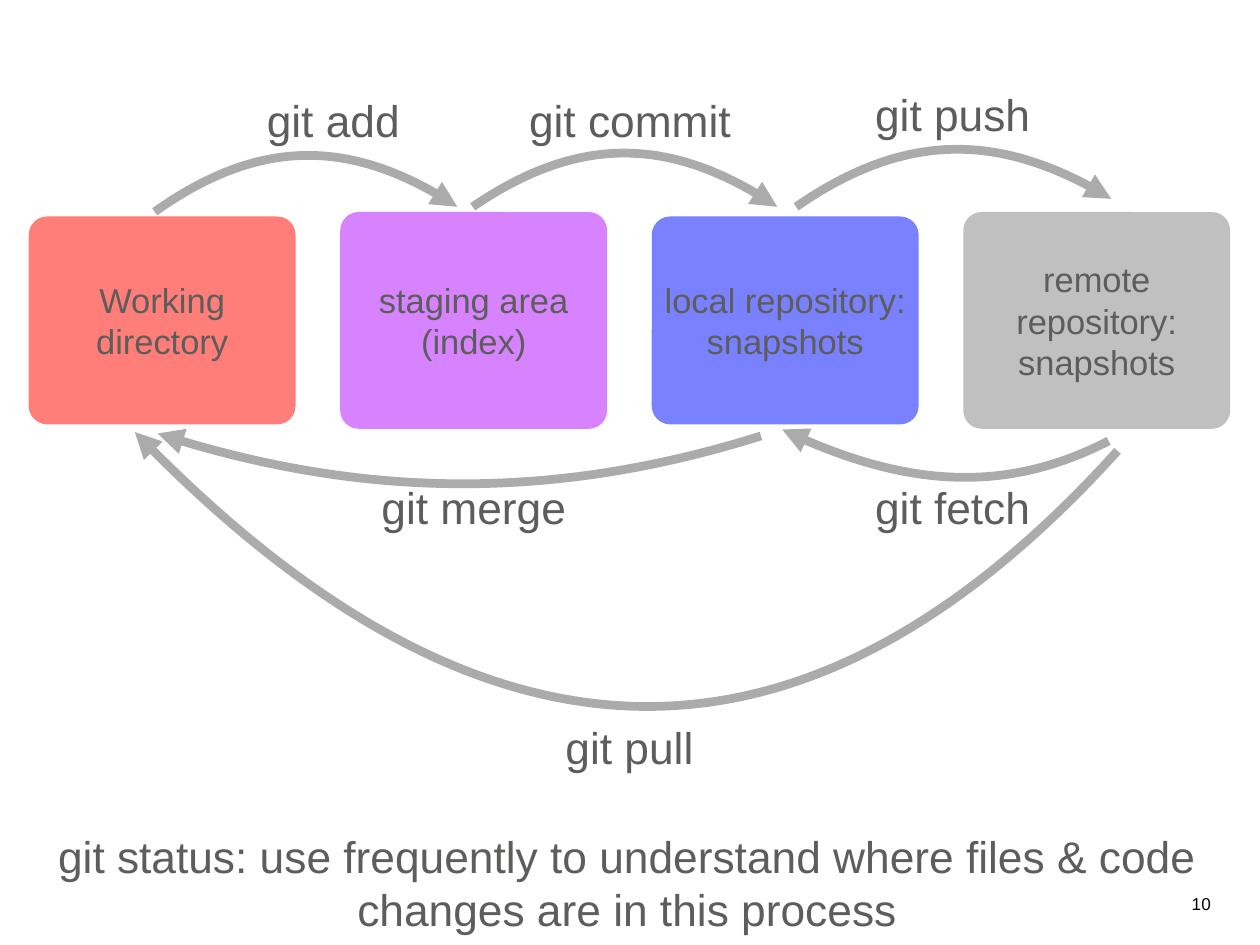
from dataclasses import dataclass

from lxml.etree import SubElement
from pptx import Presentation
from pptx.dml.color import RGBColor
from pptx.enum.shapes import MSO_SHAPE
from pptx.enum.text import MSO_ANCHOR, MSO_AUTO_SIZE, PP_ALIGN
from pptx.oxml.ns import qn
from pptx.slide import Slide
from pptx.text.text import TextFrame
from pptx.util import Cm, Pt

FONT = "Arial"
COLORS = {
    "working": "FF7E79",
    "staging": "D783FF",
    "local": "7A81FF",
    "remote": "C0C0C0",
    "text": "5D5D5C",
    "arrow": "ABABAB",
    "number": "000000",
}

AREA_LEFT, AREA_STEP, AREA_WIDTH, AREA_MIDDLE = 0.58, 6.28, 5.38, 6.46
CORNER_RADIUS = 0.37
LABEL_HEIGHT = 1.27
AREA_SIZE, LABEL_SIZE, NUMBER_SIZE = 19.7, 25.3, 9.8

Point = tuple[float, float]


@dataclass
class Area:
    text: str
    color: str
    height: float


@dataclass
class Command:
    """A git command: its label box and the cubic curve of its arrow, in cm."""
    label: str
    left: float
    top: float
    width: float
    curve: tuple[Point, Point, Point, Point]


AREAS = [
    Area("Working directory", "working", 4.19),
    Area("staging area (index)", "staging", 4.37),
    Area("local repository:\nsnapshots", "local", 4.19),
    Area("remote repository:\nsnapshots", "remote", 4.37),
]

COMMANDS = [
    Command("git add", 5.26, 1.78, 2.92,
            ((3.12, 4.27), (5.13, 2.84), (7.16, 2.79), (9.22, 4.17))),
    Command("git commit", 10.54, 1.78, 4.32,
            ((9.53, 4.17), (11.58, 2.77), (13.61, 2.77), (15.67, 4.17))),
    Command("git push", 17.53, 1.65, 3.35,
            ((16.05, 4.17), (18.14, 2.72), (20.24, 2.67), (22.4, 4.01))),
    Command("git fetch", 17.53, 9.58, 3.35,
            ((22.35, 8.89), (20.37, 9.91), (18.19, 9.83), (15.77, 8.66))),
    Command("git merge", 7.57, 9.58, 3.96,
            ((15.34, 8.79), (11.3, 10.06), (7.24, 10.06), (3.18, 8.74))),
    Command("git pull", 11.28, 14.43, 2.82,
            ((22.53, 9.09), (16.26, 16.03), (9.65, 15.9), (2.72, 8.71))),
]


def rgb(name: str) -> RGBColor:
    return RGBColor.from_string(COLORS[name])


def write(frame: TextFrame, text: str, size: float, color: str = "text",
          align: PP_ALIGN = PP_ALIGN.CENTER, anchor: MSO_ANCHOR = MSO_ANCHOR.MIDDLE,
          inset: float = 0.1) -> None:
    frame.text = text
    frame.vertical_anchor = anchor
    frame.margin_left = frame.margin_right = Cm(inset)
    frame.margin_top = frame.margin_bottom = Cm(inset)
    for paragraph in frame.paragraphs:
        paragraph.alignment = align
        for run in paragraph.runs:
            run.font.name = FONT
            run.font.size = Pt(size)
            run.font.color.rgb = rgb(color)


def add_area(slide: Slide, index: int, area: Area) -> None:
    box = slide.shapes.add_shape(
        MSO_SHAPE.ROUNDED_RECTANGLE,
        Cm(AREA_LEFT + index * AREA_STEP), Cm(AREA_MIDDLE - area.height / 2),
        Cm(AREA_WIDTH), Cm(area.height))
    box.adjustments[0] = CORNER_RADIUS / area.height
    box.shadow.inherit = False
    box.fill.solid()
    box.fill.fore_color.rgb = rgb(area.color)
    box.line.fill.background()
    box.text_frame.word_wrap = True
    write(box.text_frame, area.text, AREA_SIZE)


def add_text(slide: Slide, text: str, left: float, top: float, width: float,
             height: float, size: float = LABEL_SIZE, wrap: bool = False, **style) -> None:
    frame = slide.shapes.add_textbox(Cm(left), Cm(top), Cm(width), Cm(height)).text_frame
    frame.word_wrap = wrap
    frame.auto_size = MSO_AUTO_SIZE.SHAPE_TO_FIT_TEXT
    write(frame, text, size, **style)


def curve_point(curve: tuple[Point, ...], t: float) -> Point:
    weights = ((1 - t) ** 3, 3 * t * (1 - t) ** 2, 3 * t ** 2 * (1 - t), t ** 3)
    x, y = (sum(w * p[axis] for w, p in zip(weights, curve)) for axis in (0, 1))
    return x, y


def add_curved_arrow(slide: Slide, curve: tuple[Point, ...]) -> None:
    """Outline start, peak and end to set the frame, then bend it into one cubic."""
    start, end = curve[0], curve[-1]
    peak = max((curve_point(curve, i / 100) for i in range(101)),
               key=lambda point: abs(point[1] - start[1]))
    builder = slide.shapes.build_freeform(Cm(start[0]), Cm(start[1]))
    builder.add_line_segments([(Cm(x), Cm(y)) for x, y in (peak, end)], close=False)
    arrow = builder.convert_to_shape()
    arrow.shadow.inherit = False
    arrow.fill.background()
    arrow.line.color.rgb = rgb("arrow")
    arrow.line.width = Pt(5)

    outline = next(arrow.element.iter(qn("a:path")))
    for segment in outline.findall(qn("a:lnTo")):
        outline.remove(segment)
    bend = SubElement(outline, qn("a:cubicBezTo"))
    for x, y in curve[1:]:
        SubElement(bend, qn("a:pt"), x=str(Cm(x) - arrow.left), y=str(Cm(y) - arrow.top))
    SubElement(arrow.line._get_or_add_ln(), qn("a:tailEnd"), type="triangle")


def main() -> None:
    deck = Presentation()
    deck.slide_width, deck.slide_height = Cm(25.4), Cm(19.05)
    slide = deck.slides.add_slide(deck.slide_layouts[6])

    for index, area in enumerate(AREAS):
        add_area(slide, index, area)
    for command in COMMANDS:
        add_curved_arrow(slide, command.curve)
        add_text(slide, command.label, command.left, command.top,
                 command.width, LABEL_HEIGHT)

    add_text(slide, "git status: use frequently to understand where files & code "
             "changes are in this process", 0.41, 16.61, 24.46, 2.36, wrap=True)
    add_text(slide, "10", 23.85, 17.86, 0.71, 0.71, size=NUMBER_SIZE, color="number",
             align=PP_ALIGN.RIGHT, anchor=MSO_ANCHOR.BOTTOM, inset=0.15)
    deck.save("out.pptx")


if __name__ == "__main__":
    main()
